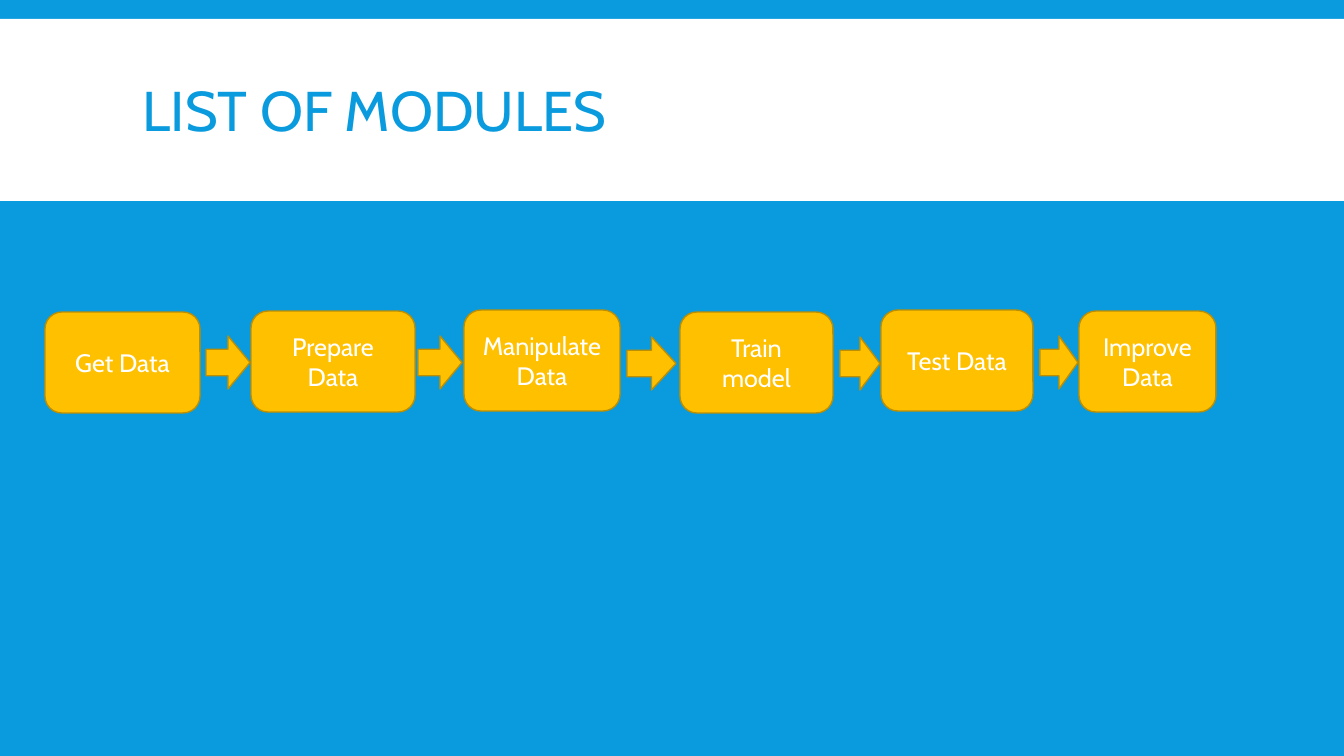
"""Build the LIST OF MODULES slide: a title band above a six-step process."""
from pptx import Presentation
from pptx.dml.color import RGBColor
from pptx.enum.shapes import MSO_SHAPE
from pptx.enum.text import MSO_ANCHOR, PP_ALIGN
from pptx.util import Pt

RECT = MSO_SHAPE.RECTANGLE
ROUNDED = MSO_SHAPE.ROUNDED_RECTANGLE
ARROW = MSO_SHAPE.RIGHT_ARROW
MIDDLE = MSO_ANCHOR.MIDDLE
LEFT, CENTER = PP_ALIGN.LEFT, PP_ALIGN.CENTER

EMU_PER_PX = 914400 / 100.8
SLIDE_SIZE = (1344, 756)
FONT = "Cabin"
COLORS = {"blue": "099BDD", "white": "FFFFFF", "amber": "FFC000", "edge": "BD8E00"}

TITLE = "LIST OF MODULES"
TITLE_AREA = (133, 31, 1079, 166)
BAND_AREA = (0, 19, 1344, 182)
STEP_HEIGHT = 101
ARROW_HEIGHT = 53
STEPS = [
    ("Get Data", 45, 312, 155),
    ("Prepare Data", 251, 311, 164),
    ("Manipulate Data", 464, 310, 156),
    ("Train model", 680, 312, 153),
    ("Test Data", 881, 310, 152),
    ("Improve Data", 1079, 311, 137),
]
ARROWS = [(206, 336, 44), (418, 336, 44), (627, 337, 49), (840, 337, 40), (1040, 336, 38)]


def px(length):
    return round(length * EMU_PER_PX)


def color(name):
    return RGBColor.from_string(COLORS[name])


def add_block(page, kind, area, fill, edge=None):
    block = page.shapes.add_shape(kind, *map(px, area))
    block.shadow.inherit = False
    block.fill.solid()
    block.fill.fore_color.rgb = color(fill)
    if edge:
        block.line.color.rgb = color(edge)
        block.line.width = Pt(1)
    else:
        block.line.fill.background()
    return block


def write(box, text, size, ink, align):
    frame = box.text_frame
    frame.word_wrap = True
    frame.vertical_anchor = MIDDLE
    para = frame.paragraphs[0]
    para.alignment = align
    span = para.add_run()
    span.text = text
    span.font.name = FONT
    span.font.size = Pt(size)
    span.font.color.rgb = color(ink)
    return para


def main():
    deck = Presentation()
    deck.slide_width, deck.slide_height = map(px, SLIDE_SIZE)
    page = deck.slides.add_slide(deck.slide_layouts[6])
    page.background.fill.solid()
    page.background.fill.fore_color.rgb = color("blue")

    add_block(page, RECT, BAND_AREA, "white")
    title_box = page.shapes.add_textbox(*map(px, TITLE_AREA))
    write(title_box, TITLE, 40, "blue", LEFT).line_spacing = 0.85

    for label, left, top, width in STEPS:
        step = add_block(page, ROUNDED, (left, top, width, STEP_HEIGHT), "amber", "edge")
        write(step, label, 18, "white", CENTER)
    for left, top, width in ARROWS:
        add_block(page, ARROW, (left, top, width, ARROW_HEIGHT), "amber", "edge")

    deck.save("out.pptx")


if __name__ == "__main__":
    main()
